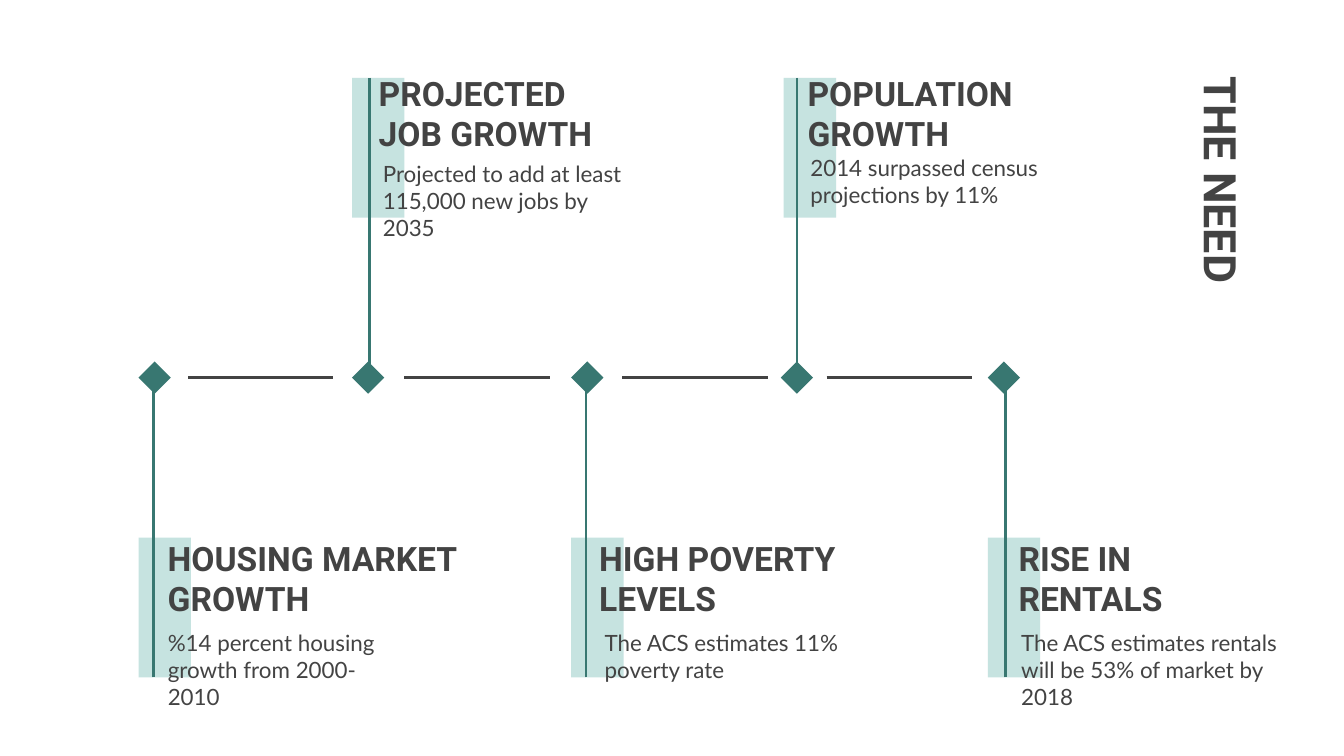
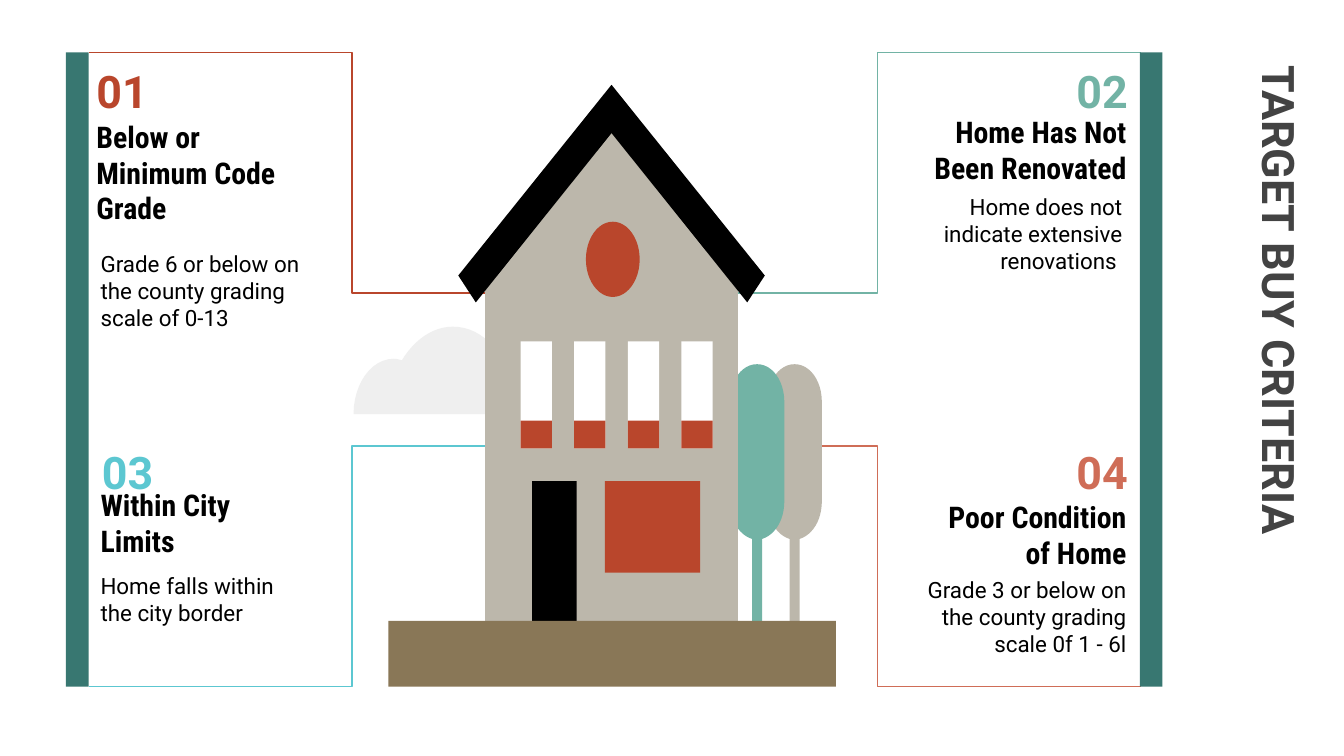
from typing import NamedTuple

from lxml.etree import SubElement
from pptx import Presentation
from pptx.dml.color import RGBColor
from pptx.enum.shapes import MSO_CONNECTOR, MSO_SHAPE
from pptx.enum.text import MSO_ANCHOR, PP_ALIGN
from pptx.oxml.ns import qn
from pptx.shapes.autoshape import Shape
from pptx.slide import Slide
from pptx.util import Pt

TEAL = RGBColor(0x38, 0x77, 0x71)
MINT = RGBColor(0x9E, 0xCF, 0xCB)
GRAY = RGBColor(0x43, 0x43, 0x43)
BLACK = RGBColor(0x00, 0x00, 0x00)
WHITE = RGBColor(0xFF, 0xFF, 0xFF)
RUST = RGBColor(0xB9, 0x46, 0x2C)
CORAL = RGBColor(0xCF, 0x6D, 0x57)
AQUA = RGBColor(0x5C, 0xC7, 0xD1)
SAGE = RGBColor(0x72, 0xB3, 0xA5)
STONE = RGBColor(0xBC, 0xB7, 0xAB)
CLOUD = RGBColor(0xEF, 0xEF, 0xEF)
SOIL = RGBColor(0x89, 0x77, 0x57)


class Box(NamedTuple):
    x: float
    y: float
    w: float
    h: float


class Style(NamedTuple):
    font: str
    size: float
    color: RGBColor
    bold: bool = False
    right: bool = False
    middle: bool = False


class Event(NamedTuple):
    mark: float
    band: float
    stem: float
    upper: bool
    head: str
    hbox: Box
    note: str
    nbox: Box


class Rule(NamedTuple):
    num: str
    color: RGBColor
    right: bool
    edge: float
    turn: float
    cbox: Box
    head: str
    hbox: Box
    note: str
    nbox: Box


TITLE = Style("Roboto", 24, GRAY, True)
HEAD = Style("Roboto", 18, GRAY, True)
NOTE = Style("Lato", 12, GRAY)

MID = 202.3
MARK = 17.3
TOP, LOW = 28.1, 367.9
BAR = 12.2
LEFT, RIGHT = 35.3, 610.6

EVENTS = [
    Event(74.2, 74.2, 82.1, False, "HOUSING MARKET GROWTH", Box(82.8, 280.8, 185, 33.1),
          "%14 percent housing growth from 2000- 2010", Box(82.8, 329.8, 145.4, 50.4)),
    Event(188.6, 188.6, 198, True, "PROJECTED JOB GROWTH", Box(195.8, 31.7, 145.4, 35.3),
          "Projected to add at least 115,000 new jobs by 2035", Box(198, 78.5, 145.4, 53.3)),
    Event(306, 306, 313.9, False, "HIGH POVERTY LEVELS", Box(313.9, 280.8, 147.6, 33.1),
          "The ACS estimates 11% poverty rate", Box(316.8, 329.8, 145.4, 35.3)),
    Event(418.3, 419.8, 427, True, "POPULATION GROWTH", Box(425.5, 31.7, 140.4, 35.3),
          "2014 surpassed census projections by 11%", Box(427, 75.6, 145.4, 33.1)),
    Event(529.2, 529.2, 538.6, False, "RISE IN RENTALS", Box(538.6, 280.8, 113, 33.1),
          "The ACS estimates rentals will be 53% of market by 2018",
          Box(540, 329.8, 157.7, 50.4)),
]
DASHES = [100.8, 216.7, 333.4, 442.8]

RULES = [
    Rule("01", RUST, False, TOP, 157, Box(44.6, 34.6, 42.5, 27.4),
         "Below or Minimum Code Grade", Box(44.6, 78.5, 125.3, 27.4),
         "Grade 6 or below on the county grading scale of 0-13", Box(46.8, 126.7, 125.3, 57.6)),
    Rule("02", SAGE, True, TOP, 157, Box(568.8, 34.6, 42.5, 27.4),
         "Home Has Not Been Renovated", Box(485.3, 62.6, 125.3, 35.3),
         "Home does not indicate extensive renovations ", Box(483.1, 97.9, 125.3, 54)),
    Rule("03", AQUA, False, LOW, 239, Box(47.5, 239, 42.5, 27.4),
         "Within City Limits", Box(46.8, 266.4, 125.3, 27.4),
         "Home falls within the city border", Box(46.8, 293.8, 125.3, 54)),
    Rule("04", CORAL, True, LOW, 239, Box(568.8, 239, 42.5, 27.4),
         "Poor Condition of Home", Box(485.3, 266.4, 125.3, 40.3),
         "Grade 3 or below on the county grading scale 0f 1 - 6l",
         Box(485.3, 312.5, 125.3, 35.3)),
]

PUFFS = [
    (242.6, 175), (231.8, 175, 221.8, 182.2, 215.3, 193),
    (213.8, 192.6, 212.4, 192.2, 211, 192.2), (198.7, 192.2, 189.4, 205.9, 189.4, 221.8),
    (324.7, 221.8), (324.7, 211.7, 319, 203, 311, 203),
    (307.4, 203, 304.6, 205.2, 302.4, 208.1), (298.8, 198.7, 291.6, 192.2, 283.7, 192.2),
    (279.4, 192.2, 275, 194.4, 271.4, 197.3), (265.7, 183.6, 254.9, 175, 242.6, 175),
]
TREE = [
    (14.6, 195.1), (6.5, 195.1, 0, 203.8, 0, 215.3), (0, 268.6),
    (0, 278.6, 5, 286.6, 11.9, 288.7), (11.9, 332.6), (17.3, 332.6), (17.3, 288.7),
    (24.2, 286.6, 29.2, 278.6, 29.2, 268.6), (29.2, 215.3),
    (29.2, 203.8, 22.7, 195.1, 14.6, 195.1),
]
WALL = [(327.6, 58.3), (259.9, 145.4), (259.9, 332.6), (395.3, 332.6), (395.3, 145.4)]
ROOF = [(327.6, 45.4), (245.5, 147.6), (254.9, 162), (327.6, 71.3), (400.3, 162),
        (409.7, 147.6)]


def paint(shape: Shape, color: RGBColor) -> None:
    shape.shadow.inherit = False
    shape.fill.solid()
    shape.fill.fore_color.rgb = color
    shape.line.fill.background()


def block(page: Slide, box: Box, color: RGBColor,
          kind: MSO_SHAPE = MSO_SHAPE.RECTANGLE) -> Shape:
    shape = page.shapes.add_shape(kind, *map(Pt, box))
    paint(shape, color)
    return shape


def fade(shape: Shape, share: int) -> None:
    tint = shape.element.find(".//" + qn("a:srgbClr"))
    SubElement(tint, qn("a:alpha")).set("val", str(share * 1000))


def write(page: Slide, box: Box, words: str, style: Style) -> Shape:
    shape = page.shapes.add_textbox(*map(Pt, box))
    frame = shape.text_frame
    frame.word_wrap = True
    frame.margin_left = frame.margin_right = Pt(7.2)
    frame.margin_top = frame.margin_bottom = Pt(7.2)
    frame.vertical_anchor = MSO_ANCHOR.MIDDLE if style.middle else MSO_ANCHOR.TOP
    para = frame.paragraphs[0]
    para.alignment = PP_ALIGN.RIGHT if style.right else PP_ALIGN.LEFT
    run = para.add_run()
    run.text = words
    run.font.name = style.font
    run.font.size = Pt(style.size)
    run.font.bold = style.bold
    run.font.color.rgb = style.color
    return shape


def title(page: Slide, box: Box, words: str) -> None:
    write(page, box, words, TITLE).rotation = 90


def link(page: Slide, x1: float, y1: float, x2: float, y2: float, color: RGBColor,
         width: float = 1.5, kind: MSO_CONNECTOR = MSO_CONNECTOR.STRAIGHT) -> None:
    line = page.shapes.add_connector(kind, *map(Pt, (x1, y1, x2, y2)))
    line.line.color.rgb = color
    line.line.width = Pt(width)
    SubElement(line.element.spPr, qn("a:effectLst"))


def trace(path: list[tuple], steps: int = 12) -> list[tuple[float, float]]:
    spots = [path[0]]
    for part in path[1:]:
        if len(part) == 2:
            spots.append(part)
            continue
        ends = [spots[-1], part[:2], part[2:4], part[4:]]
        for step in range(1, steps + 1):
            t = step / steps
            u = 1 - t
            shares = (u ** 3, 3 * u * u * t, 3 * u * t * t, t ** 3)
            spots.append(tuple(sum(s * p[i] for s, p in zip(shares, ends)) for i in (0, 1)))
    return spots


def form(page: Slide, path: list[tuple], color: RGBColor, shift: float = 0) -> None:
    first, *rest = [(Pt(x + shift), Pt(y)) for x, y in trace(path)]
    pen = page.shapes.build_freeform(*first)
    pen.add_line_segments(rest, close=True)
    paint(pen.convert_to_shape(), color)


def draw_need(page: Slide) -> None:
    for event in EVENTS:
        fade(block(page, Box(event.band, 41.8 if event.upper else 288, 28.1, 74.9), MINT), 58)
    for event in EVENTS:
        link(page, event.stem, 41.8 if event.upper else 362.9, event.stem, MID, TEAL)
        block(page, Box(event.mark, MID - MARK / 2, MARK, MARK), TEAL, MSO_SHAPE.DIAMOND)
        write(page, event.hbox, event.head, HEAD)
        write(page, event.nbox, event.note, NOTE)
    for x in DASHES:
        link(page, x, MID, x + 77.8, MID, GRAY)
    title(page, Box(519.8, 151.9, 274.3, 38.2), "THE NEED")


def draw_house(page: Slide) -> None:
    form(page, PUFFS, CLOUD)
    form(page, TREE, STONE, 411.1)
    form(page, TREE, SAGE, 391)
    form(page, WALL, STONE)
    form(page, ROOF, BLACK)
    block(page, Box(285.1, 257.8, 23.8, 74.8), BLACK)
    block(page, Box(324, 257.8, 51.1, 49), RUST)
    block(page, Box(313.9, 118.8, 28.8, 40.3), RUST, MSO_SHAPE.OVAL)
    for col in range(4):
        x = 278.9 + 28.7 * col
        block(page, Box(x, 182.9, 16.8, 57.3), WHITE)
        block(page, Box(x, 225.4, 16.8, 14.8), RUST)
    block(page, Box(208.1, 332.6, 239.8, 35.3), SOIL)


def draw_rules(page: Slide) -> None:
    title(page, Box(530.6, 125.3, 274.3, 79.2), "TARGET BUY CRITERIA")
    for rule in RULES:
        start, end = (RIGHT + 0.7, 329) if rule.right else (LEFT + BAR, 329.8)
        link(page, start, rule.edge, end, rule.turn, rule.color, 0.75, MSO_CONNECTOR.ELBOW)
    for rule in RULES:
        side = rule.right
        write(page, rule.hbox, rule.head,
              Style("Roboto Condensed", 16, BLACK, True, side, True))
        write(page, rule.nbox, rule.note, Style("Roboto", 12, BLACK, False, side, True))
        write(page, rule.cbox, rule.num, Style("Roboto", 24, rule.color, True, side, True))
    draw_house(page)
    for x in (LEFT, RIGHT):
        block(page, Box(x, TOP, BAR, LOW - TOP), TEAL)


def main() -> None:
    deck = Presentation()
    deck.slide_width, deck.slide_height = Pt(720), Pt(405)
    for draw in (draw_need, draw_rules):
        draw(deck.slides.add_slide(deck.slide_layouts[6]))
    deck.save("out.pptx")


if __name__ == "__main__":
    main()
